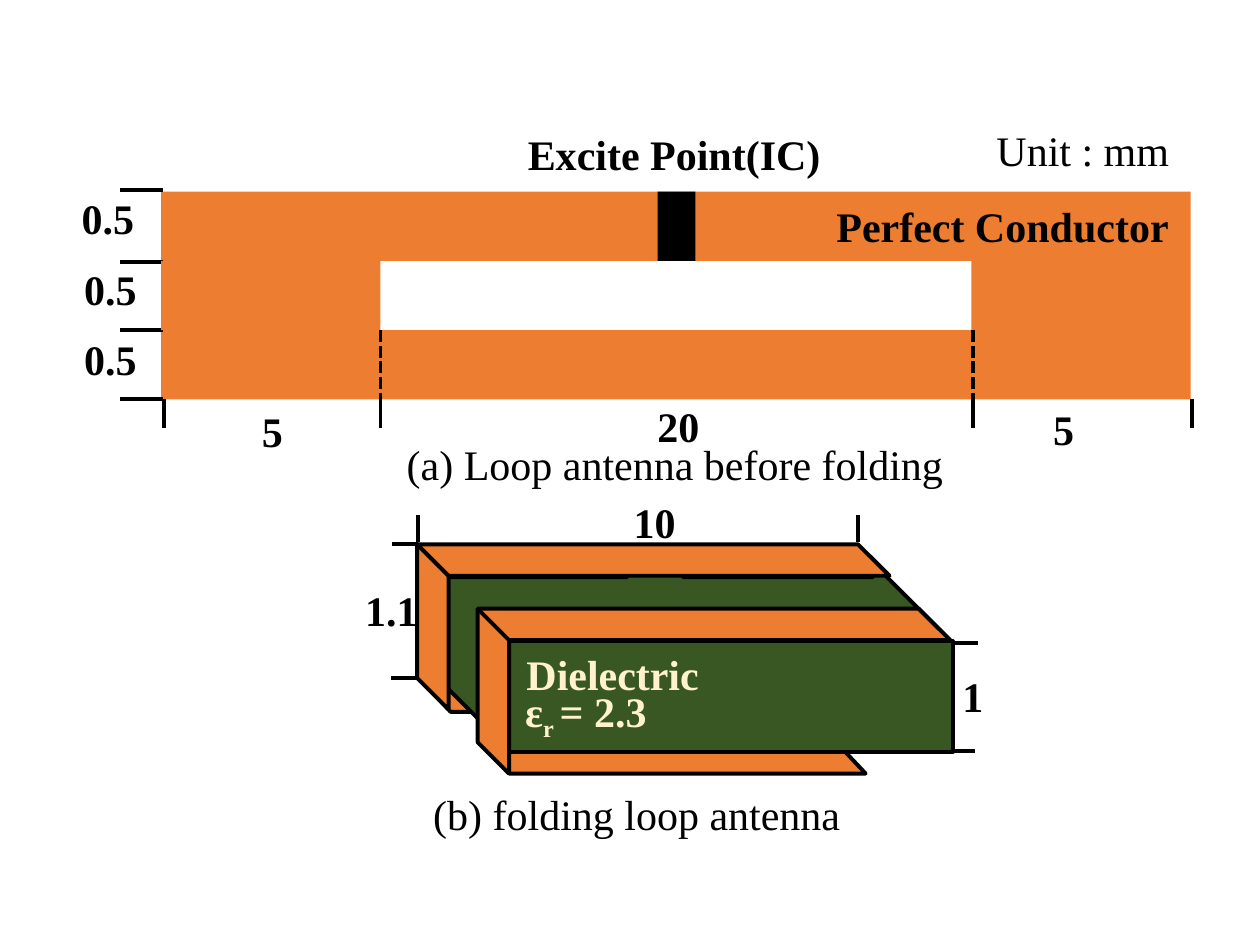
from dataclasses import dataclass
from typing import Optional

from lxml.etree import SubElement
from pptx import Presentation
from pptx.dml.color import RGBColor
from pptx.enum.dml import MSO_LINE_DASH_STYLE as Dash
from pptx.enum.shapes import MSO_CONNECTOR as Connector, MSO_SHAPE as Preset
from pptx.enum.text import MSO_AUTO_SIZE as AutoSize
from pptx.oxml.ns import qn
from pptx.util import Inches, Pt


@dataclass(frozen=True)
class Theme:
    copper: RGBColor = RGBColor(0xED, 0x7D, 0x31)
    dielectric: RGBColor = RGBColor(0x38, 0x57, 0x23)
    cream: RGBColor = RGBColor(0xFF, 0xF2, 0xCC)
    black: RGBColor = RGBColor(0, 0, 0)
    white: RGBColor = RGBColor(255, 255, 255)
    font: str = "Times New Roman"
    size: Pt = Pt(24)
    stroke: Pt = Pt(2.25)


@dataclass(frozen=True)
class Label:
    text: str
    left: float
    top: float
    width: float
    bold: bool = True
    wrap: bool = False
    color: RGBColor = Theme.black
    fill: Optional[RGBColor] = None


@dataclass(frozen=True)
class Block:
    left: float
    top: float
    width: float
    height: float
    fill: RGBColor
    outlined: bool = False
    slant: Optional[float] = None


@dataclass(frozen=True)
class Stroke:
    x1: float
    y1: float
    x2: float
    y2: float
    dashed: bool = False


@dataclass(frozen=True)
class Outline:
    points: tuple[tuple[float, float], ...]
    fill: RGBColor
    outlined: bool = True


THEME = Theme()


def paint(shape, fill: RGBColor, outlined: bool) -> None:
    shape.shadow.inherit = False
    shape.fill.solid()
    shape.fill.fore_color.rgb = fill
    if outlined:
        shape.line.color.rgb = THEME.black
        shape.line.width = THEME.stroke
    else:
        shape.line.fill.background()


def draw_label(page, label: Label):
    box = page.shapes.add_textbox(
        Inches(label.left), Inches(label.top), Inches(label.width), Inches(0.5)
    )
    if label.fill is not None:
        paint(box, label.fill, False)
    frame = box.text_frame
    frame.word_wrap = label.wrap
    frame.auto_size = AutoSize.SHAPE_TO_FIT_TEXT
    para = frame.paragraphs[0]
    para.add_run().text = label.text
    para.font.name = THEME.font
    para.font.size = THEME.size
    para.font.bold = label.bold
    para.font.color.rgb = label.color
    return para


def draw_block(page, block: Block) -> None:
    preset = Preset.RECTANGLE if block.slant is None else Preset.PARALLELOGRAM
    shape = page.shapes.add_shape(
        preset, Inches(block.left), Inches(block.top), Inches(block.width), Inches(block.height)
    )
    if block.slant is not None:
        shape.adjustments[0] = block.slant
        shape._element.spPr.find(qn("a:xfrm")).set("flipV", "1")
    paint(shape, block.fill, block.outlined)


def draw_stroke(page, stroke: Stroke) -> None:
    line = page.shapes.add_connector(
        Connector.STRAIGHT,
        Inches(stroke.x1), Inches(stroke.y1), Inches(stroke.x2), Inches(stroke.y2),
    )
    line.line.color.rgb = THEME.black
    line.line.width = THEME.stroke
    if stroke.dashed:
        line.line.dash_style = Dash.SQUARE_DOT
    SubElement(line._element.spPr, qn("a:effectLst"))


def draw_outline(page, outline: Outline) -> None:
    start, *rest = [(Inches(x), Inches(y)) for x, y in outline.points]
    builder = page.shapes.build_freeform(*start)
    builder.add_line_segments(rest, close=True)
    paint(builder.convert_to_shape(), outline.fill, outline.outlined)


def folded_strip(left: float, top: float) -> Outline:
    steps = ((0, 0), (3.5, 0), (3.75, 0.25), (0.25, 0.25), (0.25, 1.31), (0, 1.06))
    return Outline(tuple((left + x, top + y) for x, y in steps), THEME.copper)


def draw_flat_antenna(page) -> None:
    rows = (1.51, 2.08, 2.62, 3.17)
    columns = (1.3, 3.02, 7.72, 9.46)
    for top in (1.52, 2.62):
        draw_block(page, Block(1.28, top, 8.17, 0.55, THEME.copper))
    draw_block(page, Block(5.22, 1.52, 0.3, 0.55, THEME.black))
    for y in rows:
        draw_stroke(page, Stroke(1.29, y, 0.95, y))
    for left, top in ((0.55, 1.48), (0.57, 2.04), (0.57, 2.6)):
        draw_label(page, Label("0.5", left, top, 0.62))
    for left in (7.71, 1.28):
        draw_block(page, Block(left, 2.07, 1.74, 0.55, THEME.copper))
    for x in columns:
        draw_stroke(page, Stroke(x, rows[3], x, 3.4))
    for x in columns[1:3]:
        draw_stroke(page, Stroke(x, rows[2], x, rows[3], dashed=True))
    for label in (
        Label("Unit : mm", 7.81, 0.94, 1.58, bold=False),
        Label("Perfect Conductor", 6.54, 1.54, 2.92, wrap=True),
        Label("Excite Point(IC)", 4.09, 0.97, 3.01, wrap=True, fill=THEME.white),
        Label("5", 1.98, 3.17, 0.37),
        Label("5", 8.26, 3.15, 0.37),
        Label("20", 5.12, 3.13, 0.54),
        Label("(a) Loop antenna before folding", 3.13, 3.43, 4.5, bold=False),
    ):
        draw_label(page, label)


def draw_folded_antenna(page) -> None:
    for label in (
        Label("(b) folding loop antenna", 3.34, 6.21, 4.3, bold=False, wrap=True),
        Label("10", 4.93, 3.89, 0.54),
        Label("1", 7.54, 5.27, 0.66, wrap=True),
        Label("1.1", 2.8, 4.59, 0.8, wrap=True),
    ):
        draw_label(page, label)
    for x in (3.32, 6.81):
        draw_stroke(page, Stroke(x, 4.09, x, 4.3))
    for right, y in ((7.76, 5.1), (7.74, 5.96), (3.32, 4.32), (3.31, 5.38)):
        draw_stroke(page, Stroke(right, y, right - 0.21, y))

    draw_outline(page, Outline(((5.3, 4.32), (5.1, 4.32), (5.3, 4.56), (5.5, 4.56)), THEME.black, False))
    draw_block(page, Block(3.35, 5.41, 2.41, 0.24, THEME.copper, True, 0.94))
    draw_block(page, Block(3.82, 5.9, 3.05, 0.24, THEME.copper, True, 0.94))
    core = (
        (4.98, 4.44), (5.42, 4.44), (5.42, 4.58), (6.93, 4.58), (6.93, 4.47),
        (7.55, 5.09), (6.99, 5.09), (6.99, 5.38), (4.05, 5.38), (4.05, 5.96),
        (3.43, 5.34), (3.54, 5.34), (3.54, 4.58), (4.98, 4.58),
    )
    draw_outline(page, Outline(core, THEME.dielectric))
    draw_block(page, Block(4.04, 5.09, 3.52, 0.88, THEME.dielectric, True))
    draw_block(page, Block(5.03, 4.34, 0.46, 0.22, THEME.black, True, 0.97))
    for left, top in ((3.79, 4.83), (3.31, 4.32)):
        draw_outline(page, folded_strip(left, top))
        draw_stroke(page, Stroke(left, top, left + 0.25, top + 0.25))

    draw_label(page, Label("Dielectric", 4.08, 5.1, 1.94, wrap=True, color=THEME.cream))
    para = draw_label(page, Label("ε", 4.07, 5.39, 1.19, color=THEME.cream))
    subscript = para.add_run()
    subscript.text = "r "
    subscript._r.get_or_add_rPr().set("baseline", "-25000")
    para.add_run().text = "= 2.3"


def main() -> None:
    deck = Presentation()
    deck.slide_width, deck.slide_height = Inches(10), Inches(7.5)
    page = deck.slides.add_slide(deck.slide_layouts[6])
    draw_flat_antenna(page)
    draw_folded_antenna(page)
    deck.save("out.pptx")


if __name__ == "__main__":
    main()
